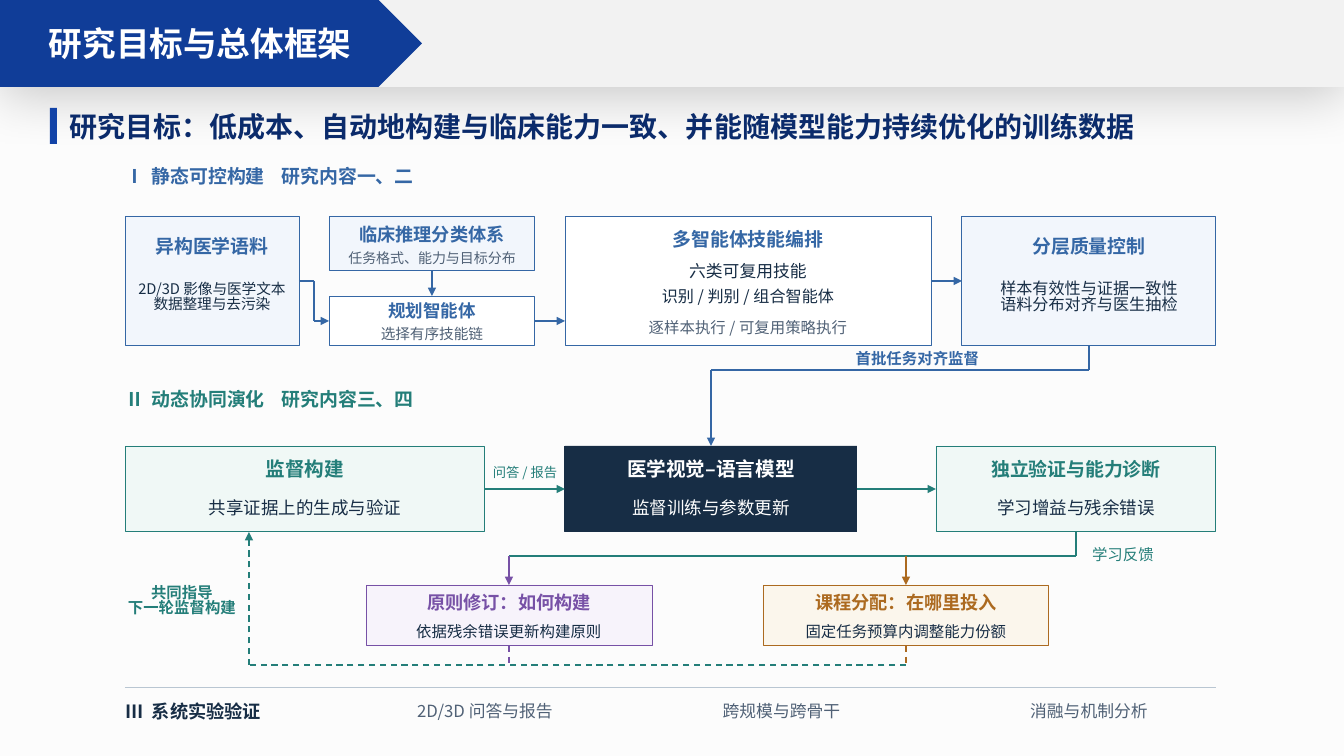
from itertools import pairwise

from lxml.etree import SubElement
from pptx import Presentation
from pptx.dml.color import RGBColor
from pptx.enum.dml import MSO_LINE
from pptx.enum.shapes import MSO_CONNECTOR, MSO_SHAPE
from pptx.enum.text import MSO_ANCHOR, PP_ALIGN
from pptx.oxml.ns import qn
from pptx.util import Pt

PX = 914400 / 100.8
BLUE, TEAL, PURPLE, AMBER = "3567A5", "247E79", "7751A6", "AC6A20"
NAVY, GRAY, WHITE = "172D45", "506176", "FFFFFF"
PALE_BLUE, PALE_TEAL = "F2F6FC", "F0F8F6"
TOP, LEFT, BOTTOM, RIGHT = range(4)
SANS = "Noto Sans CJK SC"


def px(n):
    return round(n * PX)


def rgb(color):
    return RGBColor.from_string(color)


class Board:
    def __init__(self, prs):
        self.slide = prs.slides.add_slide(prs.slide_layouts[6])
        self.shapes = self.slide.shapes
        fill = self.slide.background.fill
        fill.solid()
        fill.fore_color.rgb = rgb("FCFCFC")

    def box(self, x, y, w, h, fill, line=None, kind=MSO_SHAPE.RECTANGLE):
        sp = self.shapes.add_shape(kind, px(x), px(y), px(w), px(h))
        sp.shadow.inherit = False
        sp.fill.solid()
        sp.fill.fore_color.rgb = rgb(fill)
        if line:
            sp.line.color.rgb = rgb(line)
            sp.line.width = Pt(0.66)
        else:
            sp.line.fill.background()
        return sp

    def drop_shadow(self, sp):
        effects = sp._element.spPr.find(qn("a:effectLst"))
        shadow = SubElement(effects, qn("a:outerShdw"), blurRad=str(Pt(38)), dist=str(Pt(7)),
                            dir="5400000", algn="t", rotWithShape="0")
        color = SubElement(shadow, qn("a:srgbClr"), val="000000")
        SubElement(color, qn("a:alpha"), val="20000")

    def set_text(self, tf, text, size, color, bold=False, align=PP_ALIGN.CENTER, font=SANS,
                 tabs=()):
        """Fill a text frame, one paragraph per line; tabs are stops in px."""
        tf.vertical_anchor = MSO_ANCHOR.MIDDLE
        lines = text.split("\n")
        for i, line in enumerate(lines):
            p = tf.add_paragraph() if i else tf.paragraphs[0]
            p.add_run().text = line
            p.alignment = align
            if len(lines) > 1:
                p.line_spacing = 0.84
            if tabs:
                stops = SubElement(p._p.get_or_add_pPr(), qn("a:tabLst"))
                for stop in tabs:
                    SubElement(stops, qn("a:tab"), pos=str(px(stop)), algn="l")
            f = p.font
            f.size, f.bold, f.name = Pt(size), bold, font
            f.color.rgb = rgb(color)
            SubElement(p._p.pPr.find(qn("a:defRPr")), qn("a:ea"), typeface=font)

    def text(self, x, y, w, h, text, size, color, bold=False, wrap=False, **style):
        tf = self.shapes.add_textbox(px(x), px(y), px(w), px(h)).text_frame
        tf.word_wrap = wrap
        tf.margin_left = tf.margin_right = tf.margin_top = tf.margin_bottom = 0
        self.set_text(tf, text, size, color, bold, **style)

    def heading(self, y, text, size, color):
        self.text(125, y, 410, 26, text, size, color, True, wrap=True,
                  align=PP_ALIGN.LEFT, tabs=(27, 157))

    def card(self, x, y, w, h, fill, line, *rows):
        """Box with text rows given as (offset, height, text, size, color, bold)."""
        sp = self.box(x, y, w, h, fill, line)
        for offset, height, *style in rows:
            self.text(x + 12, y + offset, w - 24, height, *style)
        return sp

    def route(self, color, width, *stops, arrow=True, dash=False):
        """Straight segments through stops, each (x, y) or (shape, side)."""
        def place(stop):
            sp, side = stop
            if isinstance(sp, int):
                return px(sp), px(side)
            return (sp.left + sp.width * (1, 0, 1, 2)[side] // 2,
                    sp.top + sp.height * (0, 1, 2, 1)[side] // 2)

        for start, end in pairwise(stops):
            cx = self.shapes.add_connector(MSO_CONNECTOR.STRAIGHT, *place(start), *place(end))
            if not isinstance(start[0], int):
                cx.begin_connect(*start)
            if not isinstance(end[0], int):
                cx.end_connect(*end)
            cx.line.color.rgb = rgb(color)
            cx.line.width = Pt(width)
            if dash:
                cx.line.dash_style = MSO_LINE.DASH
            if arrow and end is stops[-1]:
                SubElement(cx._element.spPr.find(qn("a:ln")), qn("a:tailEnd"), type="triangle")
            SubElement(cx._element.spPr, qn("a:effectLst"))


def draw_header(b):
    b.drop_shadow(b.box(0, 0, 1344, 87, "F2F2F2"))
    banner = b.box(0, 0, 422, 87, "103D98", kind=MSO_SHAPE.PENTAGON)
    b.set_text(banner.text_frame, "研究目标与总体框架", 24, WHITE, True, font="Arial")
    b.box(50, 108, 7, 36, "1243A7")
    b.text(69, 101, 1216, 50, "研究目标：低成本、自动地构建与临床能力一致、并能随模型能力持续优化的训练数据",
           20, "0B2B6B", True, wrap=True, align=PP_ALIGN.LEFT, font="Arial")


def draw_static_stage(b):
    b.heading(163, "Ⅰ\t静态可控构建\t研究内容一、二", 13.5, BLUE)
    corpus = b.card(125, 216, 174, 130, PALE_BLUE, BLUE,
                    (16, 27, "异构医学语料", 13.5, BLUE, True),
                    (58, 48, "2D/3D 影像与医学文本\n数据整理与去污染", 10.5, NAVY))
    taxonomy = b.card(329, 216, 206, 55, PALE_BLUE, BLUE,
                      (6, 24, "临床推理分类体系", 13, BLUE, True),
                      (33, 18, "任务格式、能力与目标分布", 10, GRAY))
    planner = b.card(329, 296, 206, 50, WHITE, BLUE,
                     (4, 22, "规划智能体", 12.5, BLUE, True),
                     (29, 17, "选择有序技能链", 10.5, GRAY))
    skills = b.card(565, 216, 366, 130, WHITE, BLUE,
                    (10, 26, "多智能体技能编排", 13.5, BLUE, True),
                    (44, 22, "六类可复用技能", 12, NAVY),
                    (70, 21, "识别 / 判别 / 组合智能体", 11.5, NAVY),
                    (101, 20, "逐样本执行 / 可复用策略执行", 11, GRAY))
    quality = b.card(962, 216, 254, 130, PALE_BLUE, BLUE,
                     (16, 27, "分层质量控制", 13.5, BLUE, True),
                     (58, 48, "样本有效性与证据一致性\n语料分布对齐与医生抽检", 11.5, NAVY))
    b.route(BLUE, 1.06, (taxonomy, BOTTOM), (planner, TOP))
    b.route(BLUE, 1.06, (corpus, RIGHT), (314, 281), (314, 321), (planner, LEFT))
    b.route(BLUE, 1.06, (planner, RIGHT), (565, 321))
    b.route(BLUE, 1.02, (skills, RIGHT), (quality, LEFT))
    return quality


def draw_dynamic_stage(b, quality):
    b.heading(386, "Ⅱ\t动态协同演化\t研究内容三、四", 13.5, TEAL)
    supervision, model, diagnosis = [
        b.card(x, 446, w, 86, fill, line,
               (9, 27, title, size, title_color, True), (50, 23, note, 12.5, note_color))
        for x, w, fill, line, title, size, title_color, note, note_color in (
            (125, 360, PALE_TEAL, TEAL, "监督构建", 14, TEAL, "共享证据上的生成与验证", NAVY),
            (565, 292, NAVY, NAVY, "医学视觉–语言模型", 14, WHITE, "监督训练与参数更新", WHITE),
            (936, 280, PALE_TEAL, TEAL, "独立验证与能力诊断", 13.5, TEAL, "学习增益与残余错误", NAVY))]
    b.route(TEAL, 1.02, (supervision, RIGHT), (model, LEFT))
    b.text(490, 464, 70, 17, "问答 / 报告", 9.5, TEAL)
    b.route(TEAL, 1.02, (model, RIGHT), (diagnosis, LEFT))
    b.route(BLUE, 1.15, (quality, BOTTOM), (1089, 370), (711, 370), (model, TOP))
    b.text(809, 348, 217, 20, "首批任务对齐监督", 11, BLUE, True)

    b.route(TEAL, 1.06, (diagnosis, BOTTOM), (1076, 556), (509, 556), arrow=False)
    for x, fill, color, title, note in (
            (366, "F7F3FB", PURPLE, "原则修订：如何构建", "依据残余错误更新构建原则"),
            (763, "FBF6EC", AMBER, "课程分配：在哪里投入", "固定任务预算内调整能力份额")):
        update = b.card(x, 585, 286, 61, fill, color,
                        (5, 24, title, 13, color, True), (37, 18, note, 11, NAVY))
        middle = x + 143
        b.route(color, 1.15, (middle, 556), (update, TOP))
        b.route(color, 1.11, (update, BOTTOM), (middle, 665), arrow=False, dash=True)
    b.text(1092, 544, 124, 20, "学习反馈", 11, TEAL, align=PP_ALIGN.LEFT)
    b.route(TEAL, 1.11, (906, 665), (249, 665), (249, 532), dash=True)
    b.text(126, 578, 112, 47, "共同指导\n下一轮监督构建", 11, TEAL, True)


def draw_validation(b):
    b.route("B9C6D2", 0.53, (125, 687), (1216, 687), arrow=False)
    b.heading(698, "Ⅲ\t系统实验验证", 13, NAVY)
    for x, w, text in ((355, 260, "2D/3D 问答与报告"), (673, 217, "跨规模与跨骨干"),
                       (962, 254, "消融与机制分析")):
        b.text(x, 698, w, 25, text, 12, GRAY)


def main():
    prs = Presentation()
    prs.slide_width, prs.slide_height = px(1344), px(756)
    board = Board(prs)
    draw_header(board)
    quality = draw_static_stage(board)
    draw_dynamic_stage(board, quality)
    draw_validation(board)
    prs.save("out.pptx")


if __name__ == "__main__":
    main()
